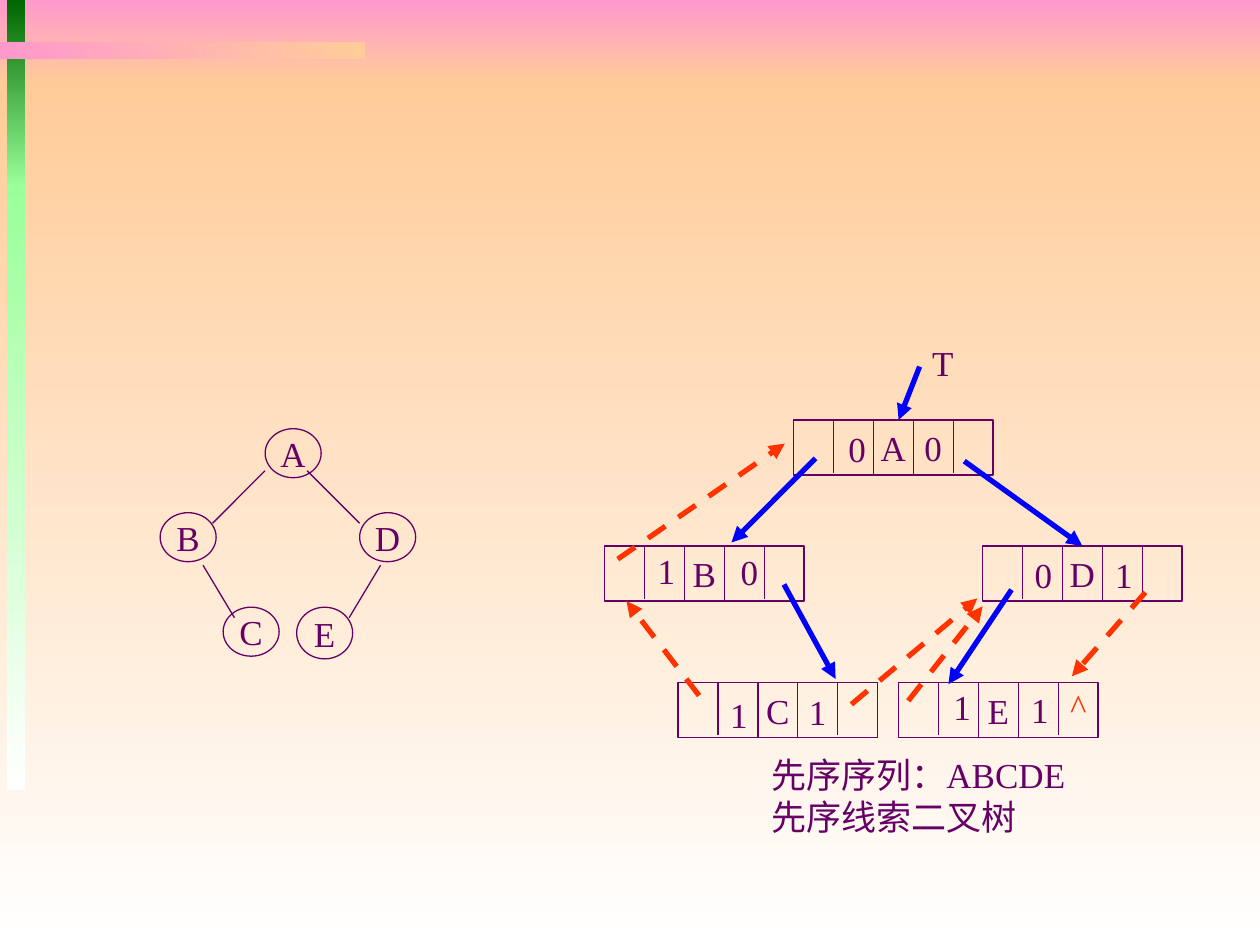
from lxml import etree
from pptx import Presentation
from pptx.dml.color import RGBColor
from pptx.enum.dml import MSO_LINE
from pptx.enum.shapes import MSO_CONNECTOR, MSO_SHAPE
from pptx.enum.text import MSO_ANCHOR, PP_ALIGN
from pptx.oxml.ns import qn
from pptx.util import Pt

RECT, OVAL = MSO_SHAPE.RECTANGLE, MSO_SHAPE.OVAL
LINE = MSO_CONNECTOR.STRAIGHT
LEFT, MID = PP_ALIGN.LEFT, PP_ALIGN.CENTER
DASH = MSO_LINE.DASH
INK, BLUE, RED = "660066", "0000FF", "FF3300"
PINK, PEACH, GREEN, MINT, WHITE = "FF99CC", "FFCC99", "006600", "99FF99", "FFFFFF"
FONT = {"name": "Times New Roman", "size": Pt(20)}
DOWN, RIGHT = 270, 0

# left, top, width, height, first colour, last colour, angle
BANDS = [
    (0, 0, 720, 48, PINK, PEACH, DOWN),
    (0, 48, 720, 492, PEACH, WHITE, DOWN),
    (4, 0, 10.25, 106.5, GREEN, MINT, DOWN),
    (4, 105, 10.25, 346.5, MINT, WHITE, DOWN),
    (0, 24, 208.5, 9.75, PINK, PEACH, RIGHT),
]
# letter, left, top, height
TREE = [("A", 151.5, 245, 28), ("B", 91.5, 293, 28), ("C", 127.5, 347, 28),
        ("D", 205.5, 293, 28), ("E", 169.5, 347, 29.5)]
EDGES = [(151.5, 269, 121.5, 299), (175.5, 269, 205.5, 299),
         (116, 323, 134, 353), (217.5, 323, 199.5, 353)]
# letter, left, top, tags as (text, right shift, down shift, colour)
NODES = [
    ("A", 453.5, 240, [("0", 24, 0.5, INK), ("0", 67.5, 0, INK)]),
    ("B", 345.5, 312, [("1", 23, -2, INK), ("0", 70.5, -1, INK)]),
    ("D", 561.5, 312, [("0", 22.5, 0.5, INK), ("1", 68.5, 0.5, INK)]),
    ("C", 387.5, 390, [("1", 22.5, 2.5, INK), ("1", 67.5, 1, INK)]),
    ("E", 513.5, 390, [("1", 24, -2, INK), ("1", 68.5, -0.5, INK),
                       ("^", 90.5, -2.5, RED)]),
]
NODE_W, NODE_H, CELLS = 114, 31.5, 5
TAG_W = 24.5
LINKS = [(466, 262, 418, 310), (448, 334, 477.5, 388),
         (578, 337, 542, 391), (525.5, 209.5, 513.5, 240)]
TO_D = (551, 263.5, 617, 312)
THREADS = [(353, 319.5, 448.5, 253.5), (399.5, 397.5, 358, 343.5),
           (486.5, 402.5, 558.5, 342), (654.5, 338.5, 612.5, 386.5),
           (519, 400.5, 561.5, 346.5)]
NOTES = [(525.5, 191.5, 26.5, 31.5, ["T"]),
         (433.5, 427, 187, 55.5, ["先序序列：ABCDE", "先序线索二叉树"])]

deck = Presentation()
deck.slide_width, deck.slide_height = Pt(720), Pt(540)
slide = deck.slides.add_slide(deck.slide_layouts[6])
shapes = slide.shapes


def rgb(code):
    return RGBColor.from_string(code)


def write(shape, lines, align=MID, anchor=MSO_ANCHOR.MIDDLE, color=INK):
    frame = shape.text_frame
    frame.word_wrap = False
    frame.vertical_anchor = anchor
    frame.text = "\n".join(lines)
    for para in frame.paragraphs:
        para.alignment = align
        for key, value in FONT.items():
            setattr(para.font, key, value)
        para.font.color.rgb = rgb(color)


def band(x, y, w, h, first, last, angle):
    shape = shapes.add_shape(RECT, Pt(x), Pt(y), Pt(w), Pt(h))
    shape.shadow.inherit = False
    shape.line.fill.background()
    shape.fill.gradient()
    shape.fill.gradient_angle = angle
    for stop, code in zip(shape.fill.gradient_stops, (first, last)):
        stop.color.rgb = rgb(code)


def frame(kind, x, y, w, h, text):
    """Draw an unfilled outline with a letter in its centre."""
    shape = shapes.add_shape(kind, Pt(x), Pt(y), Pt(w), Pt(h))
    shape.shadow.inherit = False
    shape.fill.background()
    shape.line.color.rgb = rgb(INK)
    shape.line.width = Pt(0.75)
    write(shape, [text])
    return shape


def label(x, y, w, h, lines, **style):
    write(shapes.add_textbox(Pt(x), Pt(y), Pt(w), Pt(h)), lines, **style)


def stroke(ends, color=INK, width=0.75, dash=None, arrow=False):
    item = shapes.add_connector(LINE, *map(Pt, ends))
    item.line.color.rgb = rgb(color)
    item.line.width = Pt(width)
    if dash:
        item.line.dash_style = dash
    if arrow:
        etree.SubElement(item.line._get_or_add_ln(), qn("a:tailEnd"), type="triangle")
    etree.SubElement(item._element.spPr, qn("a:effectLst"))
    return item


for row in BANDS:
    band(*row)

for name, x, y, h in TREE:
    frame(OVAL, x, y, 32, h, name)
for ends in EDGES:
    stroke(ends)

boxes = {}
for name, x, y, tags in NODES:
    boxes[name] = frame(RECT, x, y, NODE_W, NODE_H, name)
    for i in range(1, CELLS):
        at = x + i * NODE_W / CELLS
        drop = 30 if i in (1, CELLS - 1) else NODE_H
        stroke((at, y, at, y + drop))
    for text, dx, dy, color in tags:
        label(x + dx, y + dy, TAG_W, NODE_H, [text], color=color)

for ends in LINKS:
    stroke(ends, BLUE, 3, arrow=True)
stroke(TO_D, BLUE, 3, arrow=True).end_connect(boxes["D"], 0)
for ends in THREADS:
    stroke(ends, RED, 3, DASH, True)

for x, y, w, h, lines in NOTES:
    label(x, y, w, h, lines, align=LEFT, anchor=MSO_ANCHOR.TOP)

deck.save("out.pptx")
